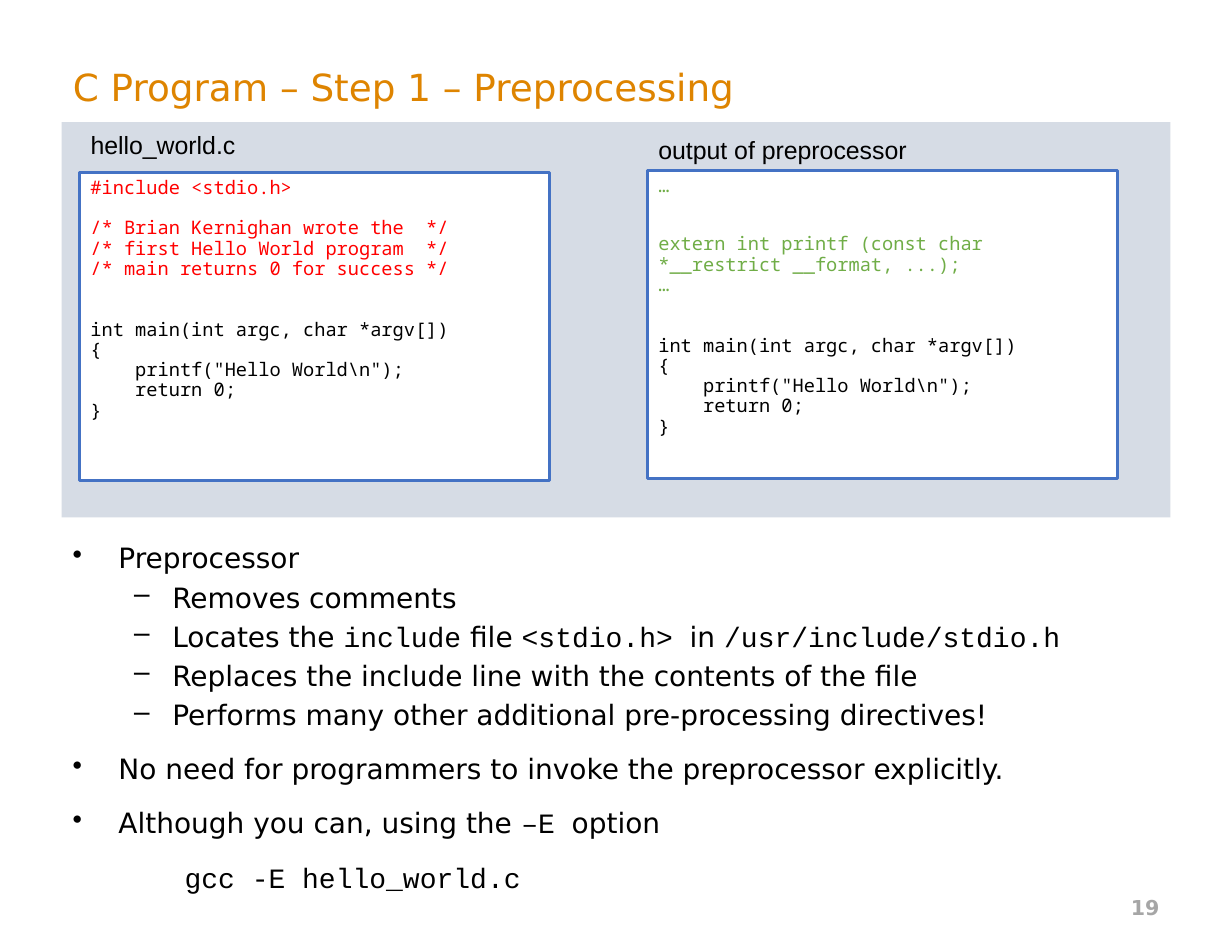
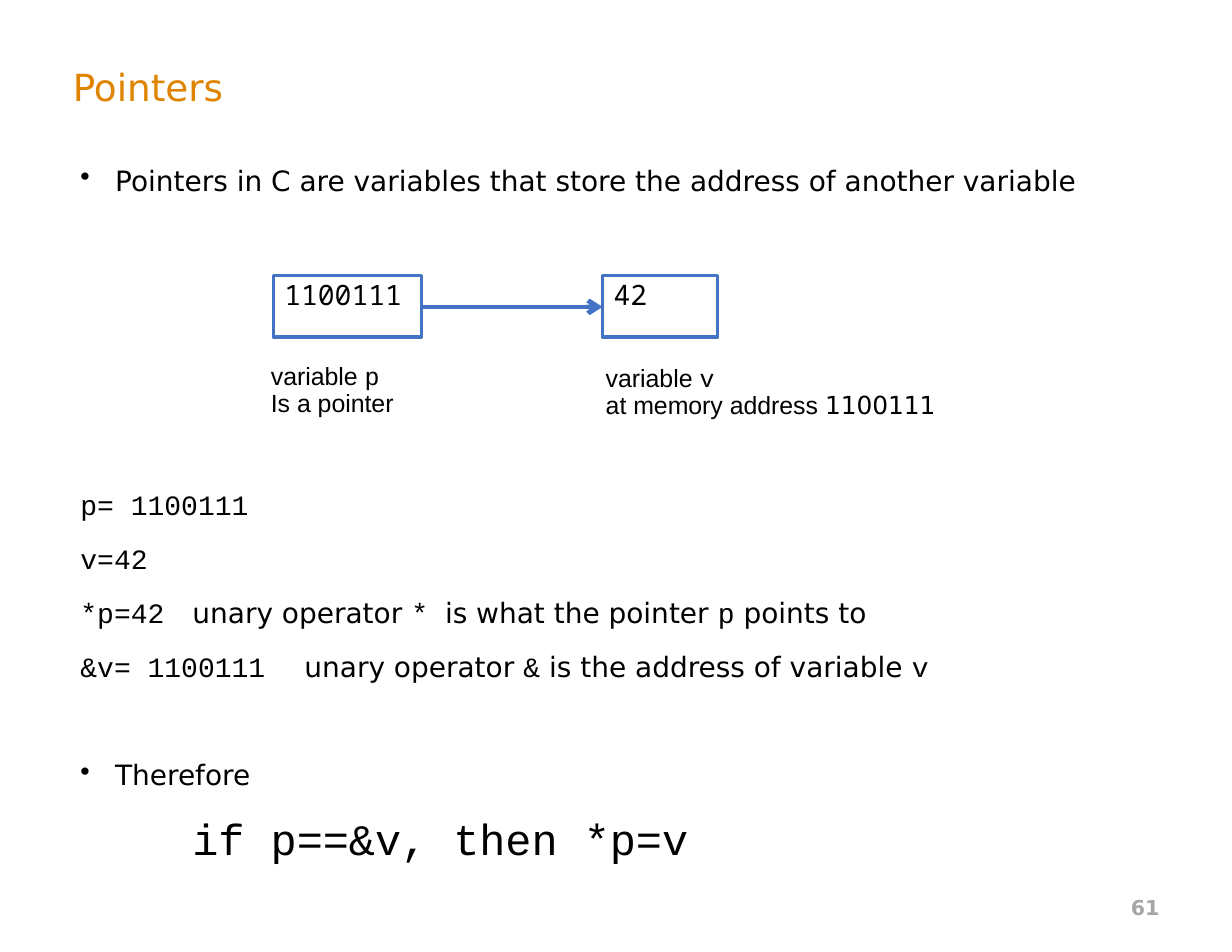
from dataclasses import dataclass

from lxml import etree
from pptx import Presentation
from pptx.dml.color import RGBColor
from pptx.enum.shapes import MSO_CONNECTOR as CONNECTOR, MSO_SHAPE as SHAPE
from pptx.enum.text import MSO_ANCHOR as ANCHOR, MSO_AUTO_SIZE as AUTOSIZE, PP_ALIGN as ALIGN
from pptx.oxml.ns import qn
from pptx.util import Inches, Pt


@dataclass(frozen=True)
class Theme:
    # Colours
    title: str = "DE8400"
    text: str = "000000"
    number: str = "A6A6A6"
    band: str = "D6DCE5"
    paper: str = "FFFFFF"
    line: str = "4472C4"
    removed: str = "FF0000"
    added: str = "70AD47"
    # Fonts
    sans: str = "DejaVu Sans"
    label: str = "Arial"
    mono: str = "Courier New"
    code: str = "Noto Sans Mono"
    # Type sizes and spacing, in points
    title_size: float = 24
    body_size: float = 18
    label_size: float = 16
    code_size: float = 12
    number_size: float = 13.2
    formula_size: float = 28
    code_pitch: float = 13
    para_gap: float = 13.2
    sub_gap: float = 3.6


T = Theme()
LEFT, WIDTH = 0.55, 9.9

MAIN = """int main(int argc, char *argv[])
{
    printf("Hello World\\n");
    return 0;
}"""
COMMENTS = """/* Brian Kernighan wrote the  */
/* first Hello World program  */
/* main returns 0 for success */"""


def rgb(value):
    return RGBColor.from_string(value)


def add_para(p, text, font=T.sans, alt=T.mono, size=T.body_size, color=T.text,
             bold=False, align=ALIGN.LEFT, before=0, spacing=None,
             bullet=None, margin=0, hang=0, tab=None):
    """Fill one paragraph; text between backticks takes the alt font."""
    pPr = p._p.get_or_add_pPr()
    pPr.set("marL", str(Inches(margin)))
    pPr.set("indent", str(-Inches(hang)))
    if bullet:
        etree.SubElement(pPr, qn("a:buChar"), char=bullet)
    if tab:
        tabs = etree.SubElement(pPr, qn("a:tabLst"))
        etree.SubElement(tabs, qn("a:tab"), pos=str(Inches(tab)), algn="l")
    p.alignment = align
    p.space_before = Pt(before)
    if spacing:
        p.line_spacing = spacing
    for i, part in enumerate(text.split("`")):
        if part:
            r = p.add_run()
            r.text = part
            r.font.name = alt if i % 2 else font
            r.font.size = Pt(size)
            r.font.bold = bold
            r.font.color.rgb = rgb(color)


def fill_text(sp, paras, anchor=ANCHOR.TOP, wrap=True, **fmt):
    """Write paragraphs, each a string or a (string, format) pair."""
    tf = sp.text_frame
    tf.auto_size = AUTOSIZE.NONE
    tf.word_wrap = wrap
    tf.vertical_anchor = anchor
    for i, para in enumerate(paras):
        text, own = (para, {}) if isinstance(para, str) else para
        p = tf.paragraphs[0] if i == 0 else tf.add_paragraph()
        add_para(p, text, **{**fmt, **own})


def add_text(slide, box, paras, **fmt):
    sp = slide.shapes.add_textbox(*map(Inches, box))
    fill_text(sp, paras, **fmt)
    return sp


def add_label(slide, box, paras):
    add_text(slide, box, paras, wrap=False, font=T.label, size=T.label_size, spacing=0.9)


def add_rect(slide, box, fill, line=None):
    sp = slide.shapes.add_shape(SHAPE.RECTANGLE, *map(Inches, box))
    sp.shadow.inherit = False
    sp.fill.solid()
    sp.fill.fore_color.rgb = rgb(fill)
    if line:
        sp.line.color.rgb = rgb(line)
        sp.line.width = Pt(2)
    else:
        sp.line.fill.background()
    return sp


def add_arrow(slide, x1, x2, y):
    cn = slide.shapes.add_connector(CONNECTOR.STRAIGHT, *map(Inches, (x1, y, x2, y)))
    cn.line.color.rgb = rgb(T.line)
    cn.line.width = Pt(3)
    etree.SubElement(cn.line._get_or_add_ln(), qn("a:tailEnd"), type="arrow")
    etree.SubElement(cn._element.spPr, qn("a:effectLst"))


def add_slide(prs, title, number):
    """Title-only slide with the shared title style and slide number."""
    slide = prs.slides.add_slide(prs.slide_layouts[5])
    sp = slide.shapes.title
    sp.left, sp.top, sp.width, sp.height = map(Inches, (LEFT, 0.34, WIDTH, 0.87))
    fill_text(sp, [title], anchor=ANCHOR.MIDDLE, size=T.title_size, color=T.title)
    add_text(slide, (7.88, 7.88, 2.57, 0.45), [str(number)], anchor=ANCHOR.MIDDLE,
             align=ALIGN.RIGHT, size=T.number_size, color=T.number, bold=True)
    return slide


def code_panel(slide, x, y, label, label_y, blocks):
    """Captioned listing; blocks are (code, colour, blank lines above)."""
    sp = add_rect(slide, (x, y, 4.2, 2.75), T.paper, T.line)
    paras = []
    for code, color, blanks in blocks:
        for i, line in enumerate(code.splitlines()):
            gap = 0 if i else blanks * T.code_pitch
            paras.append((line, dict(color=color, before=gap)))
    fill_text(sp, paras, font=T.code, size=T.code_size, spacing=Pt(T.code_pitch))
    add_label(slide, (x, label_y, 2.45, 0.34), [label])


def variable(slide, x, y, width, value, label_box, label):
    """Memory cell with its caption."""
    sp = add_rect(slide, (x, y, width, 0.55), T.paper, T.line)
    fill_text(sp, [value], font=T.code, spacing=0.9)
    add_label(slide, label_box, label)


def preprocessing_slide(prs):
    slide = add_slide(prs, "C Program – Step 1 – Preprocessing", 19)

    # Source and preprocessed code, side by side
    add_rect(slide, (LEFT, 1.09, WIDTH, 3.53), T.band)
    code_panel(slide, 0.71, 1.54, "hello_world.c", 1.14, [
        ("#include <stdio.h>", T.removed, 0),
        (COMMENTS, T.removed, 1),
        (MAIN, T.text, 2),
    ])
    code_panel(slide, 5.78, 1.52, "output of preprocessor", 1.18, [
        ("…", T.added, 0),
        ("extern int printf (const char *__restrict __format, ...);\n…", T.added, 1.9),
        (MAIN, T.text, 2),
    ])

    # Explanation
    first = dict(bullet="•", margin=0.41, hang=0.41)
    main = dict(first, before=T.para_gap)
    sub = dict(bullet="–", margin=0.89, hang=0.34, before=T.sub_gap)
    add_text(slide, (LEFT, 4.78, WIDTH, 3.38), [
        ("Preprocessor", first),
        ("Removes comments", sub),
        ("Locates the `include` file `<stdio.h> `in `/usr/include/stdio.h`", sub),
        ("Replaces the include line with the contents of the file", sub),
        ("Performs many other additional pre-processing directives!", sub),
        ("No need for programmers to invoke the preprocessor explicitly.", main),
        ("Although you can, using the `–E `option", main),
        ("`gcc -E hello_world.c`", dict(margin=1, before=T.para_gap)),
    ])


def pointers_slide(prs):
    slide = add_slide(prs, "Pointers", 61)

    # Statements, with room for the diagram after the first
    line_step = 34.7
    bullet = dict(bullet="•", margin=0.31, hang=0.31)
    row = dict(tab=2, before=T.para_gap)
    add_text(slide, (LEFT + 0.07, 1.41, WIDTH - 0.07, 6.18), [
        ("Pointers in C are variables that store the address of another variable", bullet),
        ("`p= 1100111`", dict(row, before=T.para_gap + 5 * line_step)),
        ("`v=42`", row),
        ("`*p=42`\tunary operator `* `is what the pointer `p` points to", row),
        ("`&v= 1100111 `\tunary operator `&` is the address of variable `v`", row),
        ("Therefore", dict(bullet, before=T.para_gap + line_step)),
        ("`if p==&v, then *p=v`",
         dict(margin=1, before=T.para_gap, size=T.formula_size)),
    ])

    # Pointer diagram
    variable(slide, 5.38, 2.46, 1.03, "42", (5.31, 3.22, 3.18, 0.59),
             ["variable `v`", ("at memory address `1100111`", dict(alt=T.sans))])
    variable(slide, 2.44, 2.46, 1.32, "1100111", (2.32, 3.2, 1.31, 0.83),
             ["variable `p`", "Is a pointer"])
    add_arrow(slide, 3.78, 5.38, 2.74)


def main():
    prs = Presentation()
    prs.slide_width, prs.slide_height = Inches(11), Inches(8.5)
    preprocessing_slide(prs)
    pointers_slide(prs)
    prs.save("out.pptx")


if __name__ == "__main__":
    main()
